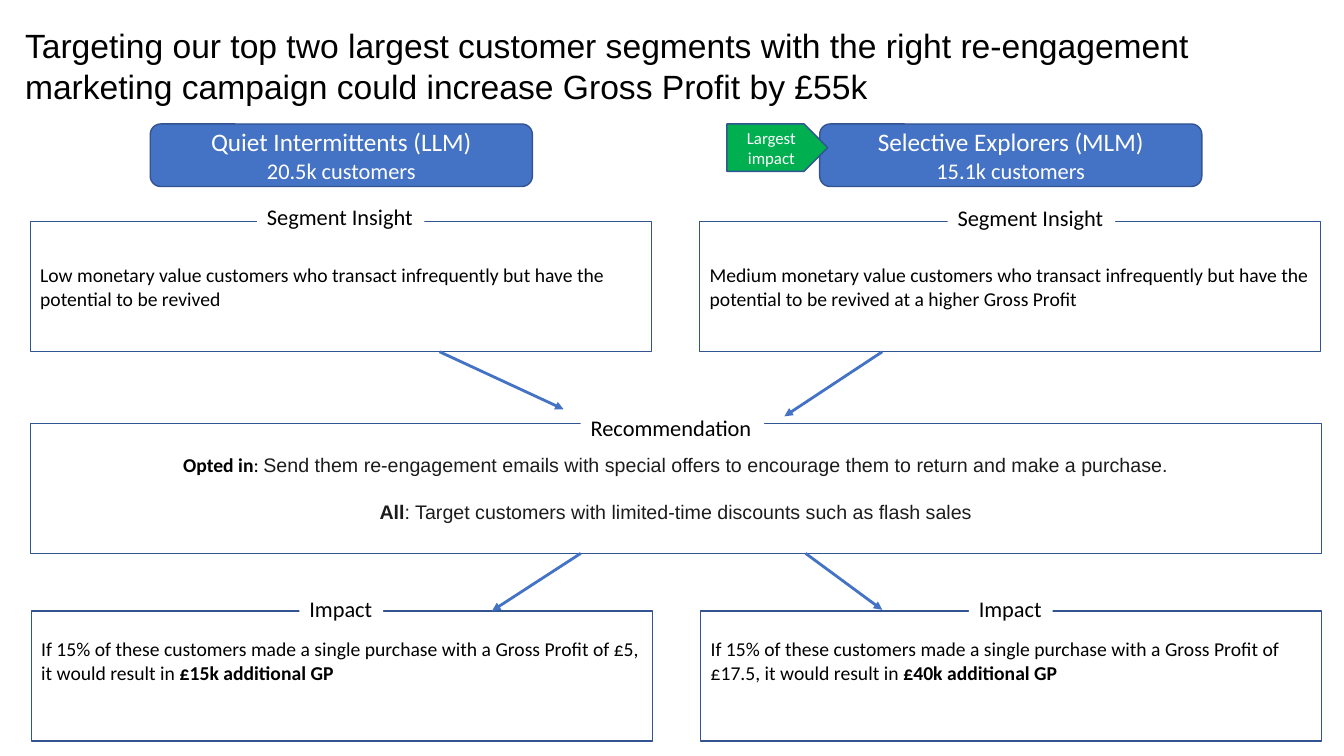
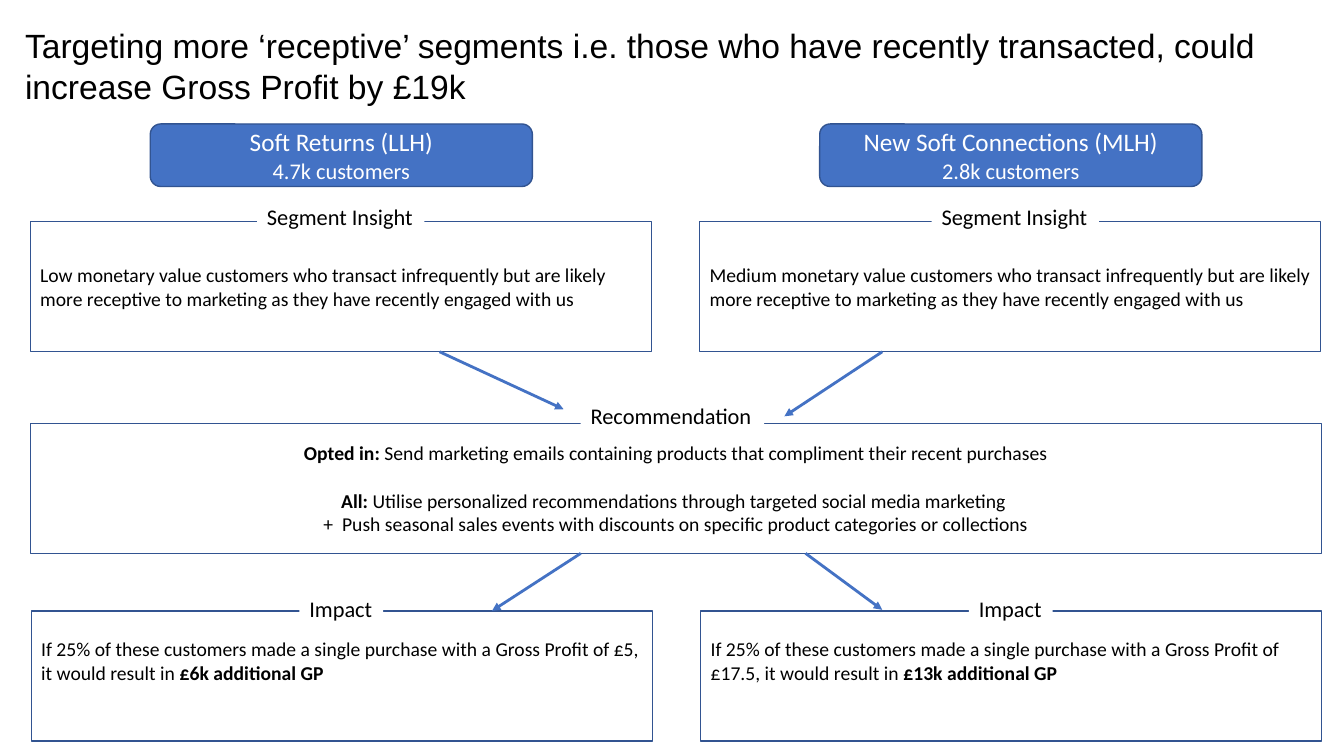
from lxml import etree
from pptx import Presentation
from pptx.dml.color import RGBColor
from pptx.enum.shapes import MSO_CONNECTOR, MSO_SHAPE
from pptx.enum.text import MSO_ANCHOR, PP_ALIGN
from pptx.oxml.ns import qn
from pptx.util import Pt

PX = 9144  # 100 px to the inch
LEFT, CENTER = PP_ALIGN.LEFT, PP_ALIGN.CENTER
TOP, MIDDLE = MSO_ANCHOR.TOP, MSO_ANCHOR.MIDDLE
RECTANGLE, ROUNDED = MSO_SHAPE.RECTANGLE, MSO_SHAPE.ROUNDED_RECTANGLE
PENTAGON, STRAIGHT = MSO_SHAPE.PENTAGON, MSO_CONNECTOR.STRAIGHT

BLACK = RGBColor(0x00, 0x00, 0x00)
INK = RGBColor(0x1D, 0x1C, 0x1D)
WHITE = RGBColor(0xFF, 0xFF, 0xFF)
BLUE = RGBColor(0x44, 0x72, 0xC4)
NAVY = RGBColor(0x32, 0x54, 0x91)
GREEN = RGBColor(0x00, 0xB0, 0x50)

BOLD = {"bold": True}
ARIAL_INK = {"font": "Arial", "color": INK}

# A paragraph is a list of (text, format) runs.
SLIDES = [
    {
        "title": "Targeting our top two largest customer segments with the right "
                 "re-engagement marketing campaign could increase Gross Profit by £55k",
        "segments": [
            {"name": "Quiet Intermittents (LLM)", "customers": "20.5k customers",
             "insight": "Low monetary value customers who transact infrequently "
                        "but have the potential to be revived",
             "share": "15%", "profit": "£5", "gain": "£15k",
             "insight_label": (255, 197)},
            {"name": "Selective Explorers (MLM)", "customers": "15.1k customers",
             "insight": "Medium monetary value customers who transact infrequently "
                        "but have the potential to be revived at a higher Gross Profit",
             "share": "15%", "profit": "£17.5", "gain": "£40k",
             "insight_label": (940, 198), "tag": "Largest impact"},
        ],
        "recommendation_label_top": 406,
        "opted_in": [[("Opted in", BOLD), (": ", {}),
                      ("Send them re-engagement emails with special offers to "
                       "encourage them to return and make a purchase.", ARIAL_INK)]],
        "all": [[("All", {**ARIAL_INK, **BOLD}),
                 (": Target customers with limited-time discounts such as flash sales",
                  ARIAL_INK)]],
    },
    {
        "title": "Targeting more ‘receptive’ segments i.e. those who have recently "
                 "transacted, could increase Gross Profit by £19k",
        "segments": [
            {"name": "Soft Returns (LLH)", "customers": "4.7k customers",
             "insight": "Low monetary value customers who transact infrequently but are "
                        "likely more receptive to marketing as they have recently "
                        "engaged with us",
             "share": "25%", "profit": "£5", "gain": "£6k",
             "insight_label": (255, 197)},
            {"name": "New Soft Connections (MLH)", "customers": "2.8k customers",
             "insight": "Medium monetary value customers who transact infrequently but "
                        "are likely more receptive to marketing as they have recently "
                        "engaged with us",
             "share": "25%", "profit": "£17.5", "gain": "£13k",
             "insight_label": (924, 197)},
        ],
        "recommendation_label_top": 394,
        "opted_in": [[("Opted in: ", BOLD),
                      ("Send marketing emails containing products that compliment "
                       "their recent purchases", {})]],
        "all": [[("All: ", BOLD),
                 ("Utilise personalized recommendations through targeted social "
                  "media marketing ", {})],
                [("+  Push seasonal sales events with discounts on specific product "
                  "categories or collections", {})]],
    },
]

ARROWS = [
    ((436, 349), (559, 406)),
    ((875, 349), (778, 413)),
    ((576, 549), (488, 606)),
    ((799, 549), (875, 605)),
]

COLUMN_STEP = 664
BOX_WIDTH, BOX_HEIGHT = 616, 129
LABEL_HEIGHT = 37
IMPACT_LEFT, IMPACT_LABEL_WIDTH = 31, 83
BLANK_LINE = 17  # pt, height of one 14 pt line


def write(frame, paragraphs, size=14, font="Calibri", color=BLACK,
          align=LEFT, anchor=MIDDLE, gaps=None):
    """Fill a frame; gaps maps a paragraph index to the points above it."""
    frame.word_wrap = True
    frame.vertical_anchor = anchor
    for index, runs in enumerate(paragraphs):
        paragraph = frame.paragraphs[0] if index == 0 else frame.add_paragraph()
        paragraph.alignment = align
        if gaps and index in gaps:
            paragraph.space_before = Pt(gaps[index])
        for text, style in runs:
            run = paragraph.add_run()
            run.text = text
            run.font.size = Pt(style.get("size", size))
            run.font.name = style.get("font", font)
            run.font.bold = style.get("bold", False)
            run.font.color.rgb = style.get("color", color)


def add_block(slide, kind, bounds, paragraphs, fill=None, line=NAVY, **text_format):
    shape = slide.shapes.add_shape(kind, *(value * PX for value in bounds))
    shape.shadow.inherit = False
    if fill is None:
        shape.fill.background()
    else:
        shape.fill.solid()
        shape.fill.fore_color.rgb = fill
    if line is None:
        shape.line.fill.background()
    else:
        shape.line.color.rgb = line
        shape.line.width = Pt(1)
    write(shape.text_frame, paragraphs, **text_format)
    return shape


def add_label(slide, text, left, top, width):
    """Put a caption that interrupts the top edge of a box."""
    label = add_block(slide, RECTANGLE, (left, top, width, LABEL_HEIGHT),
                      [[(text, {})]], fill=WHITE, line=None, size=16, anchor=TOP)
    label.text_frame.word_wrap = False


def add_arrow(slide, start, end):
    arrow = slide.shapes.add_connector(
        STRAIGHT, *(value * PX for value in start + end))
    arrow.line.color.rgb = BLUE
    arrow.line.width = Pt(2)
    outline = arrow.line._get_or_add_ln()
    etree.SubElement(outline, qn("a:tailEnd"), type="triangle")
    etree.SubElement(arrow._element.spPr, qn("a:effectLst"))


def add_segment(slide, segment, shift):
    add_block(slide, ROUNDED, (149 + shift, 123, 379, 62),
              [[(segment["name"], {"size": 18})], [(segment["customers"], {})]],
              fill=BLUE, size=16, color=WHITE, align=CENTER)
    add_block(slide, RECTANGLE, (30 + shift, 220, BOX_WIDTH, BOX_HEIGHT),
              [[(segment["insight"], {})]])
    add_label(slide, "Segment Insight", *segment["insight_label"], 166)

    impact_left = IMPACT_LEFT + shift
    impact = add_block(
        slide, RECTANGLE, (impact_left, 606, BOX_WIDTH, BOX_HEIGHT),
        [[(f"If {segment['share']} of these customers made a single purchase with a "
           f"Gross Profit of {segment['profit']}, it would result in ", {}),
          (f"{segment['gain']} additional GP", BOLD)]])
    impact.text_frame.margin_bottom = 35 * PX
    add_label(slide, "Impact", impact_left + (BOX_WIDTH - IMPACT_LABEL_WIDTH) // 2,
              586, IMPACT_LABEL_WIDTH)

    if "tag" in segment:
        add_block(slide, PENTAGON, (57 + shift, 123, 100, 47),
                  [[(segment["tag"], {})]], fill=GREEN, size=12, color=WHITE,
                  align=CENTER)


def build_slide(presentation, content):
    slide = presentation.slides.add_slide(presentation.slide_layouts[6])
    title = slide.shapes.add_textbox(*(value * PX for value in (15, 20, 1303, 91)))
    write(title.text_frame, [[(content["title"], {})]],
          size=24, font="Arial", anchor=TOP)

    for column, segment in enumerate(content["segments"]):
        add_segment(slide, segment, column * COLUMN_STEP)

    opted_in, everyone = content["opted_in"], content["all"]
    add_block(slide, RECTANGLE, (30, 420, 1281, BOX_HEIGHT), opted_in + everyone,
              align=CENTER, gaps={len(opted_in): BLANK_LINE})
    add_label(slide, "Recommendation", 576, content["recommendation_label_top"], 182)

    for start, end in ARROWS:
        add_arrow(slide, start, end)


def main():
    presentation = Presentation()
    presentation.slide_width = 1333 * PX
    presentation.slide_height = 750 * PX
    for content in SLIDES:
        build_slide(presentation, content)
    presentation.save("out.pptx")


if __name__ == "__main__":
    main()
